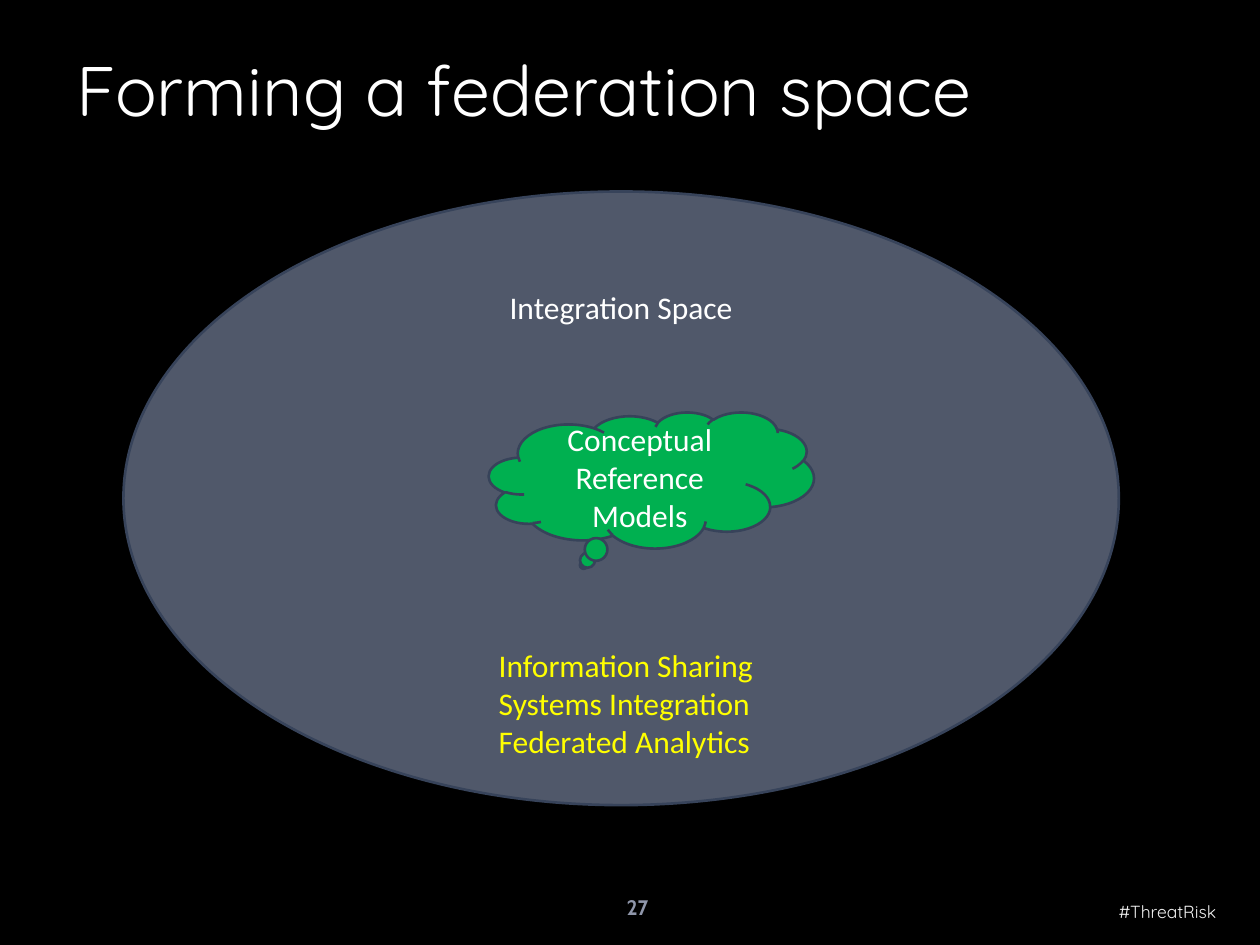
from dataclasses import dataclass
from typing import Optional

import pptx
import pptx.dml.color
import pptx.enum.shapes
import pptx.enum.text
import pptx.oxml
import pptx.oxml.ns
import pptx.util

Align = pptx.enum.text.PP_ALIGN
Anchor = pptx.enum.text.MSO_ANCHOR
Fit = pptx.enum.text.MSO_AUTO_SIZE
Form = pptx.enum.shapes.MSO_SHAPE

WIDE, HIGH = pptx.util.Inches(10), pptx.util.Inches(7.5)
COLS, ROWS = 100, 75


@dataclass(frozen=True)
class Theme:
    back: str = "000000"
    white: str = "FFFFFF"
    pale: str = "F2F2F2"
    grey: str = "8F96AA"
    yellow: str = "FFFF00"
    green: str = "00B050"
    space: str = "8A99B8"
    edge: str = "37435A"
    head: str = "Quicksand"
    body: str = "Calibri"
    page: str = "Cabin"
    large: int = 40
    mid: int = 18
    small: int = 12
    tiny: int = 10
    rule: float = 1.5


@dataclass(frozen=True)
class Box:
    """A place on the grid, in columns and rows."""
    col: float
    row: float
    wide: float
    high: float

    def spots(self) -> tuple[int, int, int, int]:
        return (round(self.col * WIDE / COLS), round(self.row * HIGH / ROWS),
                round(self.wide * WIDE / COLS), round(self.high * HIGH / ROWS))


@dataclass(frozen=True)
class Label:
    box: Box
    text: str
    font: str
    size: int
    ink: str
    align: Align = Align.CENTER
    anchor: Anchor = Anchor.MIDDLE
    bold: bool = False
    wrap: bool = True


@dataclass(frozen=True)
class Bubble:
    form: Form
    fill: str
    label: Label
    alpha: Optional[int] = None  # opacity in percent


def color(code: str) -> pptx.dml.color.RGBColor:
    return pptx.dml.color.RGBColor.from_string(code)


def write(shape, label: Label) -> None:
    frame = shape.text_frame
    frame.text = label.text
    frame.word_wrap = label.wrap
    frame.auto_size = Fit.NONE
    frame.vertical_anchor = label.anchor
    for para in frame.paragraphs:
        para.alignment = label.align
        para.space_before = pptx.util.Pt(0)
        for run in para.runs:
            run.font.name = label.font
            run.font.size = pptx.util.Pt(label.size)
            run.font.bold = label.bold
            run.font.color.rgb = color(label.ink)


def place(shape, label: Label) -> None:
    shape.left, shape.top, shape.width, shape.height = label.box.spots()
    write(shape, label)


def draw(slide, bubble: Bubble, theme: Theme) -> None:
    shape = slide.shapes.add_shape(bubble.form, *bubble.label.box.spots())
    shape.shadow.inherit = False
    shape.fill.solid()
    shape.fill.fore_color.rgb = color(bubble.fill)
    if bubble.alpha is not None:
        tint = shape.fill._xPr.find(".//" + pptx.oxml.ns.qn("a:srgbClr"))
        space = pptx.oxml.ns.nsdecls("a")
        tint.append(pptx.oxml.parse_xml(
            f'<a:alpha {space} val="{bubble.alpha * 1000}"/>'))
    shape.line.color.rgb = color(theme.edge)
    shape.line.width = pptx.util.Pt(theme.rule)
    write(shape, bubble.label)


def main() -> None:
    theme = Theme()
    deck = pptx.Presentation()
    deck.slide_width, deck.slide_height = WIDE, HIGH
    slide = deck.slides.add_slide(deck.slide_layouts[5])
    slide.background.fill.solid()
    slide.background.fill.fore_color.rgb = color(theme.back)

    # Title
    place(slide.shapes.title,
          Label(Box(5.1, 1.8, 87.7, 10.4), "Forming a federation space",
                theme.head, theme.large, theme.white, Align.LEFT))

    # Space with the models inside
    bubbles = [
        Bubble(Form.OVAL, theme.space,
               Label(Box(9.8, 15.2, 79, 48.7), "Integration Space",
                     theme.body, theme.mid, theme.white, anchor=Anchor.TOP),
               alpha=58),
        Bubble(Form.CLOUD_CALLOUT, theme.green,
               Label(Box(38.8, 32.7, 25.8, 10.8),
                     "Conceptual\nReference\nModels",
                     theme.body, theme.mid, theme.white)),
    ]
    for bubble in bubbles:
        draw(slide, bubble, theme)

    # Uses, page number and tag
    labels = [
        Label(Box(38.6, 50.8, 23, 10.1),
              "Information Sharing\nSystems Integration\nFederated Analytics",
              theme.body, theme.mid, theme.yellow, Align.LEFT, Anchor.TOP,
              wrap=False),
        Label(Box(47.9, 70, 5.4, 4), "27",
              theme.page, theme.small, theme.grey, bold=True),
        Label(Box(81, 71, 16.5, 2.7), "#ThreatRisk",
              theme.head, theme.tiny, theme.pale, Align.RIGHT, Anchor.TOP),
    ]
    for label in labels:
        write(slide.shapes.add_textbox(*label.box.spots()), label)

    deck.save("out.pptx")


if __name__ == "__main__":
    main()
